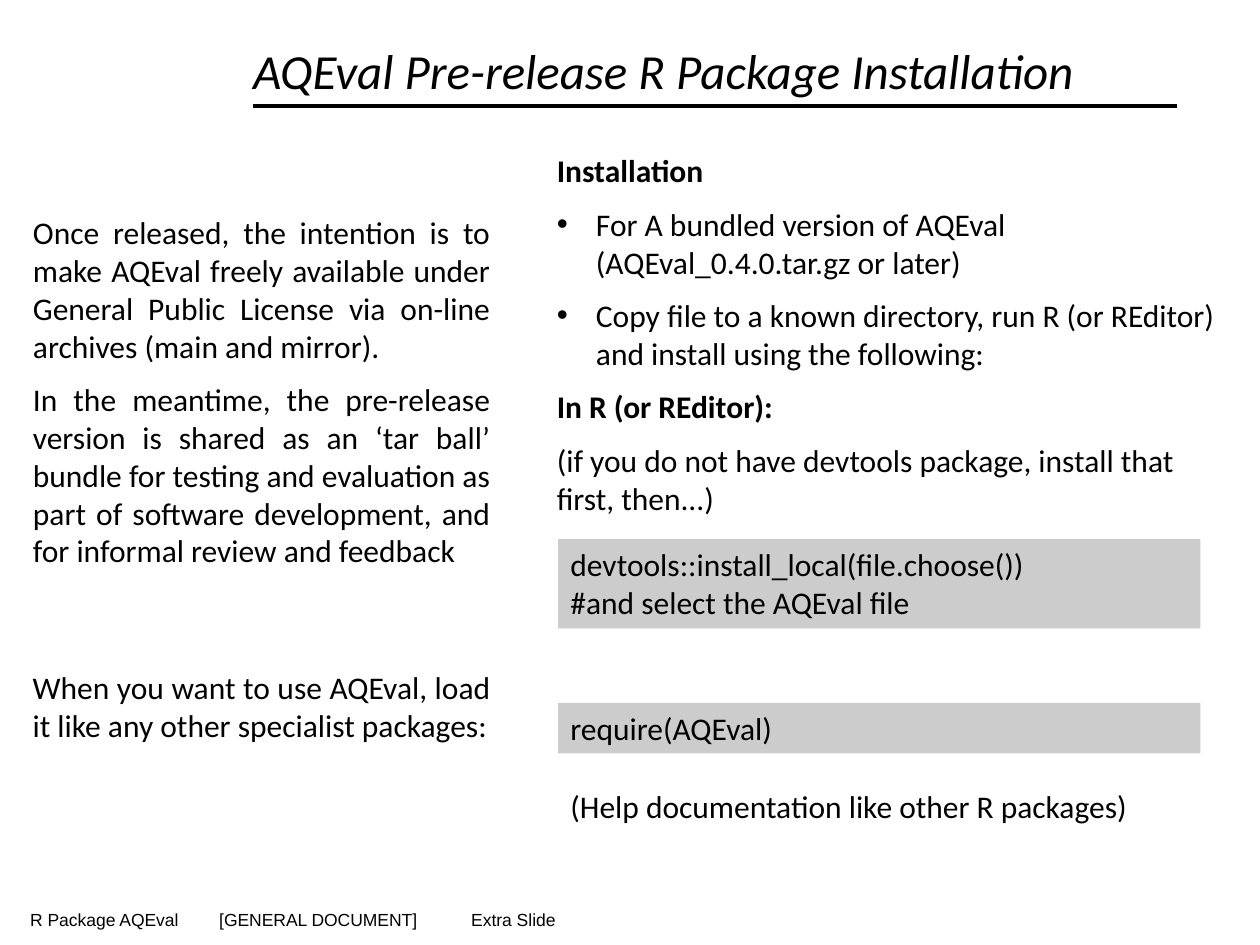
from dataclasses import dataclass
from typing import Optional

from lxml.etree import SubElement
from pptx import Presentation
from pptx.dml.color import RGBColor
from pptx.enum.shapes import MSO_CONNECTOR, MSO_SHAPE
from pptx.enum.text import MSO_ANCHOR, MSO_AUTO_SIZE, PP_ALIGN
from pptx.oxml.ns import qn
from pptx.util import Cm, Pt


@dataclass(frozen=True)
class Theme:
    ink: RGBColor = RGBColor(0, 0, 0)
    code_fill: RGBColor = RGBColor(0xCC, 0xCC, 0xCC)
    font: str = "Calibri"
    footer_font: str = "Arial"
    title_size: int = 28
    body_size: int = 18
    footer_size: int = 10
    paragraph_gap: int = 9


@dataclass(frozen=True)
class Area:
    left: float
    top: float
    width: float
    height: float


@dataclass(frozen=True)
class Line:
    text: str
    bold: bool = False
    italic: bool = False
    bullet: bool = False


@dataclass(frozen=True)
class Style:
    size: int
    font: str
    align: PP_ALIGN = PP_ALIGN.LEFT
    gap: int = 0


THEME = Theme()
TITLE = Style(THEME.title_size, THEME.font)
PLAIN = Style(THEME.body_size, THEME.font)
SPACED = Style(THEME.body_size, THEME.font, gap=THEME.paragraph_gap)
JUSTIFIED = Style(THEME.body_size, THEME.font, PP_ALIGN.JUSTIFY, THEME.paragraph_gap)
FOOTER = Style(THEME.footer_size, THEME.footer_font)

LEFT_EDGE, LEFT_WIDTH = 0.41, 9.73
CODE_LEFT, CODE_WIDTH = 11.25, 12.95
ONE_LINE, TWO_LINES = 1.02, 1.8
BULLET_INDENT = 0.79

PURPOSE = [
    Line("Once released, the intention is to make AQEval freely available under "
         "General Public License via on-line archives (main and mirror)."),
    Line("In the meantime, the pre-release version is shared as an ‘tar ball’ bundle "
         "for testing and evaluation as part of software development, and for "
         "informal review and feedback"),
]
INSTALLATION = [
    Line("Installation", bold=True),
    Line("For A bundled version of AQEval (AQEval_0.4.0.tar.gz or later)", bullet=True),
    Line("Copy file to a known directory, run R (or REditor) and install using "
         "the following:", bullet=True),
    Line("In R (or REditor):", bold=True),
    Line("(if you do not have devtools package, install that first, then...)"),
]
INSTALL_CODE = [Line("devtools::install_local(file.choose())"),
                Line("#and select the AQEval file")]
LOADING = [Line("When you want to use AQEval, load it like any other specialist packages:")]


def place(shape, area: Area) -> None:
    shape.left, shape.top = Cm(area.left), Cm(area.top)
    shape.width, shape.height = Cm(area.width), Cm(area.height)


def set_bullet(para, bullet: bool) -> None:
    """Give a paragraph a hanging bullet, or clear the one it inherits."""
    properties = para._p.get_or_add_pPr()
    indent = Cm(BULLET_INDENT) if bullet else 0
    properties.set("marL", str(indent))
    properties.set("indent", str(-indent))
    if bullet:
        SubElement(properties, qn("a:buFont"), typeface="Arial")
        SubElement(properties, qn("a:buChar"), char="•")
    else:
        SubElement(properties, qn("a:buNone"))


def write(shape, lines: list[Line], style: Style) -> None:
    frame = shape.text_frame
    frame.word_wrap = True
    frame.auto_size = MSO_AUTO_SIZE.NONE
    frame.vertical_anchor = MSO_ANCHOR.TOP
    frame.text = "\n".join(line.text for line in lines)
    for number, (para, line) in enumerate(zip(frame.paragraphs, lines)):
        para.alignment = style.align
        para.space_before = Pt(style.gap if number else 0)
        set_bullet(para, line.bullet)
        for span in para.runs:
            span.font.name, span.font.size = style.font, Pt(style.size)
            span.font.bold, span.font.italic = line.bold, line.italic
            span.font.color.rgb = THEME.ink


def add_text(page, area: Area, lines: list[Line], style: Style,
             fill: Optional[RGBColor] = None):
    """Add a text box, or a filled rectangle when a fill is given."""
    if fill is None:
        box = page.shapes.add_textbox(0, 0, 0, 0)
    else:
        box = page.shapes.add_shape(MSO_SHAPE.RECTANGLE, 0, 0, 0, 0)
        box.shadow.inherit = False
        box.fill.solid()
        box.fill.fore_color.rgb = fill
        box.line.fill.background()
    place(box, area)
    write(box, lines, style)
    return box


def add_title_rule(page) -> None:
    rule = page.shapes.add_connector(
        MSO_CONNECTOR.STRAIGHT, Cm(5.1), Cm(2.13), Cm(23.72), Cm(2.13))
    rule.line.color.rgb = THEME.ink
    rule.line.width = Pt(2.25)
    SubElement(rule._element.spPr, qn("a:effectLst"))


def add_footer(page) -> None:
    """Spread the three footer parts with a centred and a right tab stop."""
    parts = ["R Package AQEval", "[GENERAL DOCUMENT]", "Extra Slide"]
    box = add_text(page, Area(0.36, 18.21, 24.71, 0.69), [Line("\t".join(parts))], FOOTER)
    properties = box.text_frame.paragraphs[0]._p.get_or_add_pPr()
    stops = SubElement(properties, qn("a:tabLst"))
    for position, alignment in ((12.67, "ctr"), (23.07, "r")):
        SubElement(stops, qn("a:tab"), pos=str(Cm(position)), algn=alignment)


def main() -> None:
    deck = Presentation()
    deck.slide_width, deck.slide_height = Cm(25.4), Cm(19.05)
    page = deck.slides.add_slide(deck.slide_layouts.get_by_name("Two Content"))
    title, purpose, installation = page.placeholders

    add_title_rule(page)
    place(title, Area(4.85, 0.69, 19.35, 1.45))
    write(title, [Line("AQEval Pre-release R Package Installation", italic=True)], TITLE)
    place(purpose, Area(LEFT_EDGE, 4.17, LEFT_WIDTH, 8.33))
    write(purpose, PURPOSE, JUSTIFIED)
    place(installation, Area(10.97, 2.92, 14.05, 7.95))
    write(installation, INSTALLATION, SPACED)

    add_text(page, Area(CODE_LEFT, 10.87, CODE_WIDTH, TWO_LINES), INSTALL_CODE, PLAIN,
             THEME.code_fill)
    add_text(page, Area(LEFT_EDGE, 13.34, LEFT_WIDTH, TWO_LINES), LOADING, JUSTIFIED)
    add_text(page, Area(CODE_LEFT, 14.17, CODE_WIDTH, ONE_LINE),
             [Line("require(AQEval)")], JUSTIFIED, THEME.code_fill)
    add_text(page, Area(CODE_LEFT, 15.75, CODE_WIDTH, ONE_LINE),
             [Line("(Help documentation like other R packages)")], JUSTIFIED)
    add_footer(page)
    deck.save("out.pptx")


if __name__ == "__main__":
    main()
